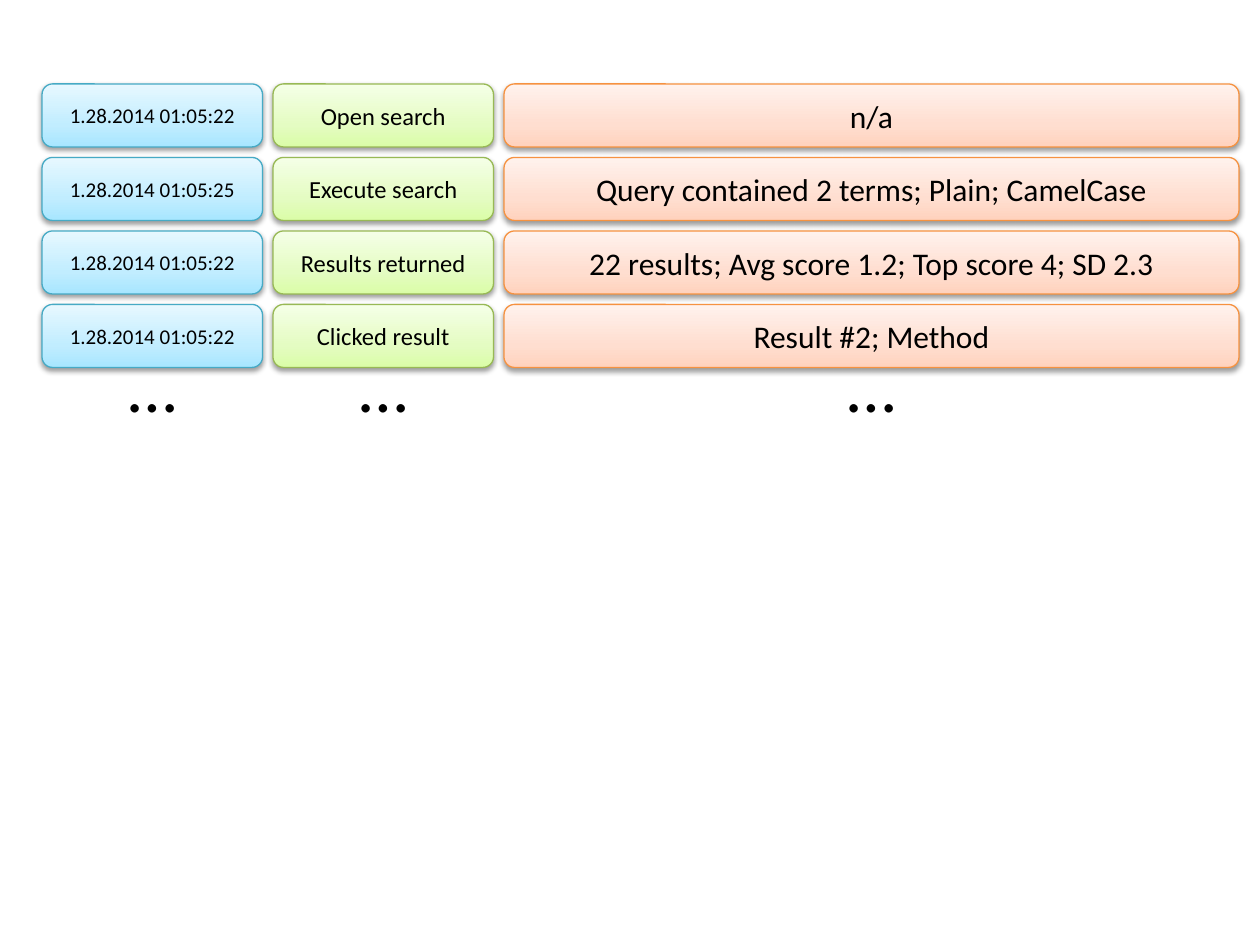
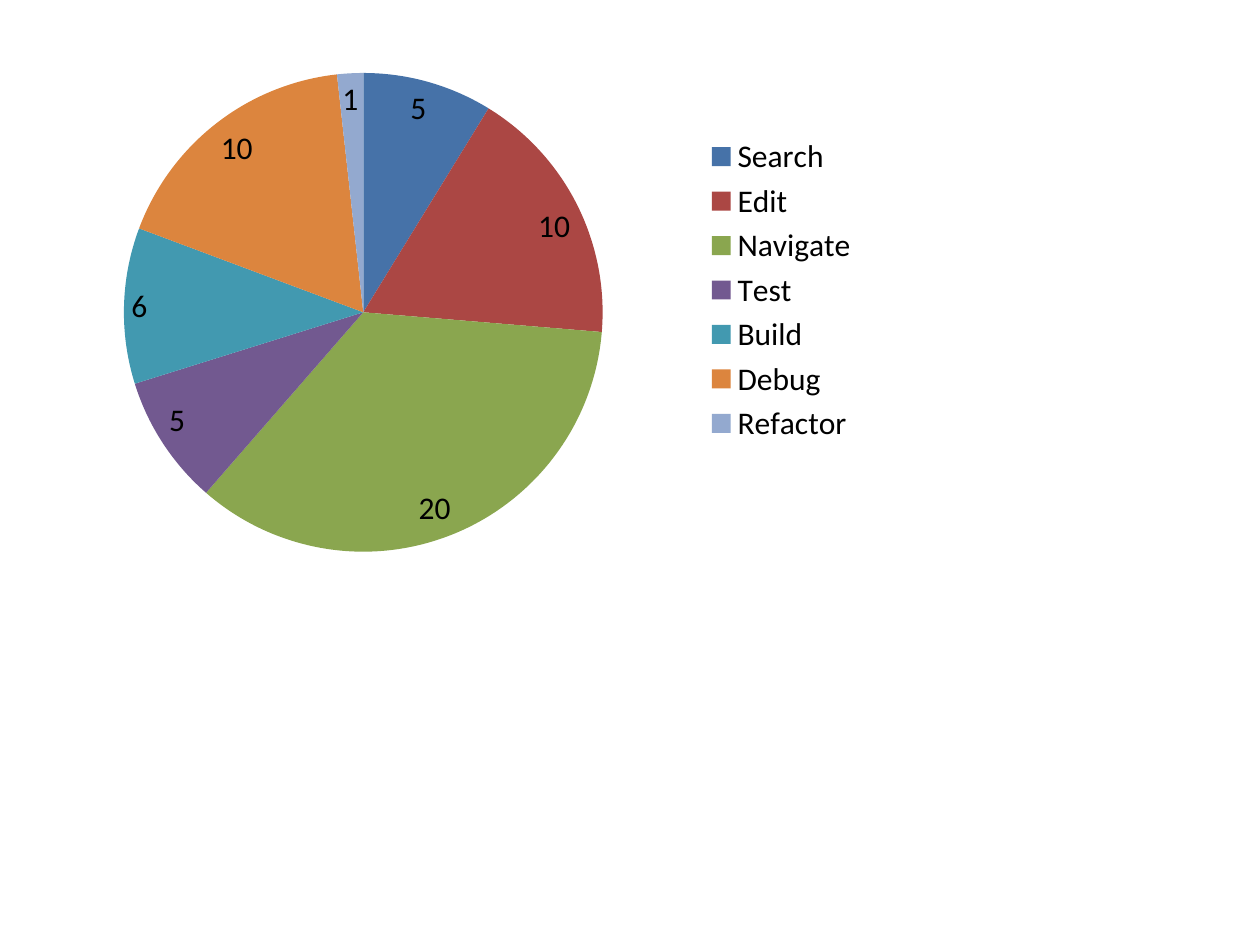
from dataclasses import dataclass

from lxml import etree
from pptx import Presentation
from pptx.chart.data import CategoryChartData
from pptx.dml.color import RGBColor
from pptx.enum.chart import XL_CHART_TYPE, XL_LABEL_POSITION, XL_LEGEND_POSITION
from pptx.enum.shapes import MSO_SHAPE
from pptx.enum.text import MSO_ANCHOR, PP_ALIGN
from pptx.oxml import parse_xml
from pptx.oxml.ns import nsdecls, qn
from pptx.util import Inches, Pt

PIE = XL_CHART_TYPE.PIE
INSIDE_END = XL_LABEL_POSITION.INSIDE_END
LEGEND_RIGHT = XL_LEGEND_POSITION.RIGHT
ROUNDED = MSO_SHAPE.ROUNDED_RECTANGLE
MIDDLE, TOP = MSO_ANCHOR.MIDDLE, MSO_ANCHOR.TOP
CENTER = PP_ALIGN.CENTER

# Content
EVENTS = [
    ("1.28.2014 01:05:22", "Open search", "n/a"),
    ("1.28.2014 01:05:25", "Execute search", "Query contained 2 terms; Plain; CamelCase"),
    ("1.28.2014 01:05:22", "Results returned", "22 results; Avg score 1.2; Top score 4; SD 2.3"),
    ("1.28.2014 01:05:22", "Clicked result", "Result #2; Method"),
]
MORE = "…"
ACTIVITIES = {"Search": 5, "Edit": 10, "Navigate": 20, "Test": 5,
              "Build": 6, "Debug": 10, "Refactor": 1}


# Theme
@dataclass(frozen=True)
class Theme:
    font: str = "Calibri"
    ink: str = "000000"
    body: int = 18
    more: int = 40
    border: float = 0.75
    slices: tuple = ("4672A8", "AB4744", "8AA64F", "725990",
                     "4299B0", "DC853E", "93A9CF")


@dataclass(frozen=True)
class Column:
    width: int        # in grid units
    size: int         # in points
    border: str
    gradient: tuple   # bottom, 35 %, top


THEME = Theme()
COLUMNS = [
    Column(21, 12, "46AAC5", ("A7E6FF", "C1EDFF", "E7F8FF")),
    Column(21, 14, "98B955", ("DAFDA7", "E4FCC2", "F5FFE7")),
    Column(70, THEME.body, "F69240", ("FFD2BD", "FFDED0", "FFF2ED")),
]
STOPS = (0, 35, 100)

# Grid: twelve units to the inch
UNIT = Inches(1) // 12
LEFT, ROW_TOP, ROW_HEIGHT, GAP = 4, 8, 6, 1
MORE_TOP, MORE_WIDTH, MORE_HEIGHT = 32, 7, 9.25
CHART_BOX = (3, 1, 80, 53.25)
PIE_SHARE = {"x": 0.11, "y": 0.11, "w": 0.57, "h": 0.86}


def grid(*units):
    return [round(n * UNIT) for n in units]


def style_font(font, size):
    font.name, font.size = THEME.font, Pt(size)
    font.color.rgb = RGBColor.from_string(THEME.ink)


def write(shape, text, *, size, anchor=MIDDLE, wrap=True):
    frame = shape.text_frame
    frame.word_wrap, frame.vertical_anchor = wrap, anchor
    paragraph = frame.paragraphs[0]
    paragraph.alignment = CENTER
    run = paragraph.add_run()
    run.text = text
    style_font(run.font, size)


def add_gradient(shape, colours):
    stops = "".join(
        f'<a:gs pos="{pos * 1000}"><a:srgbClr val="{colour}"/></a:gs>'
        for pos, colour in zip(STOPS, colours))
    shape.fill.gradient()
    old = shape._element.spPr.find(qn("a:gradFill"))
    old.getparent().replace(old, parse_xml(
        f'<a:gradFill {nsdecls("a")} rotWithShape="1"><a:gsLst>{stops}</a:gsLst>'
        '<a:lin ang="16200000" scaled="0"/></a:gradFill>'))


def add_shadow(shape):
    shape.shadow.inherit = False
    shape._element.spPr.find(qn("a:effectLst")).append(parse_xml(
        f'<a:outerShdw {nsdecls("a")} blurRad="{Pt(3.1)}" dist="{Pt(1.6)}" dir="5400000"'
        ' rotWithShape="0"><a:srgbClr val="000000"><a:alpha val="38000"/></a:srgbClr>'
        '</a:outerShdw>'))


def add_event_cell(slide, text, column, left, top):
    cell = slide.shapes.add_shape(ROUNDED, *grid(left, top, column.width, ROW_HEIGHT))
    cell.line.color.rgb = RGBColor.from_string(column.border)
    cell.line.width = Pt(THEME.border)
    add_gradient(cell, column.gradient)
    add_shadow(cell)
    write(cell, text, size=column.size)


def build_event_log(slide):
    lefts = [LEFT + sum(c.width + GAP for c in COLUMNS[:i]) for i in range(len(COLUMNS))]
    # Log rows
    for row, event in enumerate(EVENTS):
        top = ROW_TOP + row * (ROW_HEIGHT + GAP)
        for text, column, left in zip(event, COLUMNS, lefts):
            add_event_cell(slide, text, column, left, top)
    # Continuation marks, centred under each column
    for column, left in zip(COLUMNS, lefts):
        more = slide.shapes.add_textbox(*grid(
            left + (column.width - MORE_WIDTH) / 2, MORE_TOP, MORE_WIDTH, MORE_HEIGHT))
        write(more, MORE, size=THEME.more, anchor=TOP, wrap=False)


def place_plot(chart):
    plot_area = chart._chartSpace.chart.plotArea
    for old in plot_area.findall(qn("c:layout")):
        plot_area.remove(old)
    layout = parse_xml(f'<c:layout {nsdecls("c")}><c:manualLayout/></c:layout>')
    settings = {"layoutTarget": "inner", "xMode": "edge", "yMode": "edge", **PIE_SHARE}
    for tag, value in settings.items():
        etree.SubElement(layout[0], qn(f"c:{tag}")).set("val", str(value))
    plot_area.insert(0, layout)


def build_activity_pie(slide):
    data = CategoryChartData()
    data.categories = list(ACTIVITIES)
    data.add_series("Series 1", list(ACTIVITIES.values()))
    chart = slide.shapes.add_chart(PIE, *grid(*CHART_BOX), data).chart
    chart.has_title = False
    style_font(chart.font, THEME.body)
    place_plot(chart)
    # Legend
    chart.has_legend = True
    chart.legend.position = LEGEND_RIGHT
    chart.legend.include_in_layout = False
    # Slices and their values
    plot = chart.plots[0]
    plot.vary_by_categories = True
    for index, colour in enumerate(THEME.slices):
        fill = plot.series[0].points[index].format.fill
        fill.solid()
        fill.fore_color.rgb = RGBColor.from_string(colour)
    plot.has_data_labels = True
    labels = plot.data_labels
    labels.show_value, labels.show_percentage = True, False
    labels.position = INSIDE_END
    style_font(labels.font, THEME.body)


def main():
    deck = Presentation()
    deck.slide_width, deck.slide_height = Inches(10), Inches(7.5)
    blank = deck.slide_layouts[6]
    for build in (build_event_log, build_activity_pie):
        build(deck.slides.add_slide(blank))
    deck.save("out.pptx")


if __name__ == "__main__":
    main()
